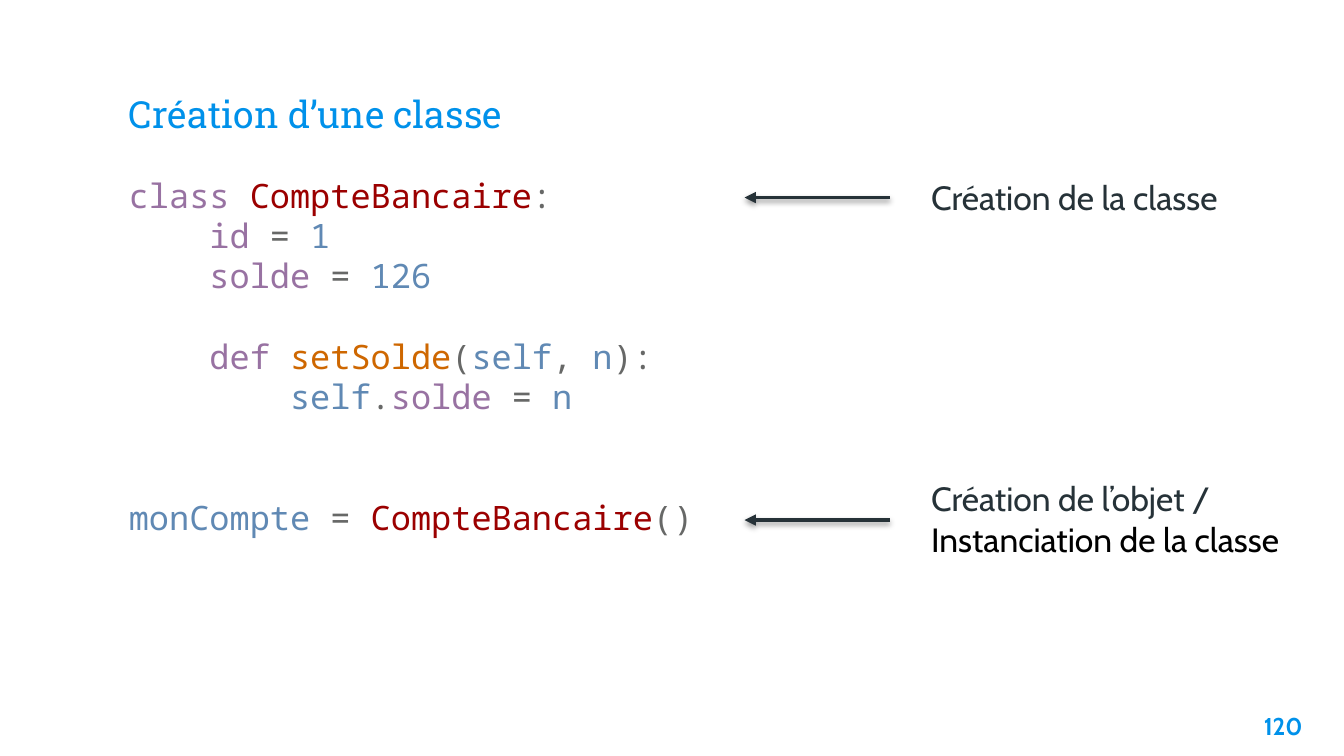
from lxml import etree
from pptx import Presentation
from pptx import util as u
from pptx.dml.color import RGBColor
from pptx.enum import shapes, text
from pptx.oxml import parse_xml
from pptx.oxml.ns import nsdecls, qn

BLUE = RGBColor(0x00, 0x91, 0xEA)
DARK = RGBColor(0x26, 0x32, 0x38)
BLACK = RGBColor(0x00, 0x00, 0x00)
KEYWORD = RGBColor(0x98, 0x72, 0xA2)
CLASS = RGBColor(0x9B, 0x00, 0x00)
FUNCTION = RGBColor(0xCE, 0x67, 0x00)
VALUE = RGBColor(0x60, 0x89, 0xB4)
SYMBOL = RGBColor(0x67, 0x68, 0x67)

CODE_PITCH = 21.6  # points from one code line to the next
CODE_INDENT = u.Inches(0.6)  # four characters

# Indent level, blank lines above, coloured pieces
CODE_LINES = [
    (0, 0, [("class ", KEYWORD), ("CompteBancaire", CLASS), (":", SYMBOL)]),
    (1, 0, [("id ", KEYWORD), ("= ", SYMBOL), ("1", VALUE)]),
    (1, 0, [("solde ", KEYWORD), ("= ", SYMBOL), ("126", VALUE)]),
    (1, 1, [("def ", KEYWORD), ("setSolde", FUNCTION), ("(", SYMBOL),
            ("self", VALUE), (", ", SYMBOL), ("n", VALUE), ("):", SYMBOL)]),
    (2, 0, [("self", VALUE), (".", SYMBOL), ("solde ", KEYWORD),
            ("= ", SYMBOL), ("n", VALUE)]),
    (0, 2, [("monCompte ", VALUE), ("= ", SYMBOL),
            ("CompteBancaire", CLASS), ("()", SYMBOL)]),
]


class SlideBuilder:
    heading_font = "Roboto Slab"
    body_font = "Cabin"
    code_font = "Noto Sans Mono"
    body_size = 18

    def __init__(self, slide):
        self.slide = slide

    def text_box(self, left, top, width, height, inset=0.05):
        shape = self.slide.shapes.add_textbox(
            u.Inches(left), u.Inches(top), u.Inches(width), u.Inches(height))
        frame = shape.text_frame
        frame.word_wrap = True
        frame.margin_top = frame.margin_bottom = u.Inches(inset)
        return frame

    def paragraph(self, frame, first):
        return frame.paragraphs[0] if first else frame.add_paragraph()

    def run(self, paragraph, words, color, font, size=body_size, bold=False):
        run = paragraph.add_run()
        run.text = words
        run.font.name = font
        run.font.size = u.Pt(size)
        run.font.bold = bold
        run.font.color.rgb = color

    def title(self, words):
        frame = self.text_box(0.86, 0.34, 8.28, 0.77, inset=0.1)
        frame.vertical_anchor = text.MSO_ANCHOR.BOTTOM
        self.run(frame.paragraphs[0], words, BLUE, self.heading_font, 20)

    def code(self, lines):
        frame = self.text_box(0.86, 1.25, 4.48, 3.13)
        for index, (level, blank_lines, pieces) in enumerate(lines):
            paragraph = self.paragraph(frame, index == 0)
            paragraph.line_spacing = u.Pt(CODE_PITCH)
            paragraph.space_before = u.Pt(blank_lines * CODE_PITCH)
            properties = paragraph._p.get_or_add_pPr()
            properties.set("marL", str(level * CODE_INDENT))
            properties.set("indent", "0")
            for words, color in pieces:
                self.run(paragraph, words, color, self.code_font)

    def label(self, top, width, height, lines):
        frame = self.text_box(6.83, top, width, height)
        for index, (words, color) in enumerate(lines):
            self.run(self.paragraph(frame, index == 0), words, color,
                     self.body_font)

    def arrow(self, y):
        """Draw a shadowed arrow pointing left at the code."""
        connector = self.slide.shapes.add_connector(
            shapes.MSO_CONNECTOR.STRAIGHT,
            u.Inches(6.62), u.Inches(y), u.Inches(5.54), u.Inches(y))
        connector.line.color.rgb = DARK
        connector.line.width = u.Pt(2)
        etree.SubElement(connector.line._get_or_add_ln(), qn("a:tailEnd"),
                         type="triangle")
        connector._element.spPr.append(parse_xml(
            f'<a:effectLst {nsdecls("a")}>'
            f'<a:outerShdw blurRad="{u.Pt(3.1)}" dist="{u.Pt(1.6)}" '
            'dir="5400000" rotWithShape="0">'
            '<a:srgbClr val="000000"><a:alpha val="38000"/></a:srgbClr>'
            '</a:outerShdw></a:effectLst>'))

    def page_number(self, number):
        frame = self.text_box(9.19, 5.19, 0.6, 0.43, inset=0.1)
        paragraph = frame.paragraphs[0]
        paragraph.alignment = text.PP_ALIGN.RIGHT
        self.run(paragraph, number, BLUE, self.body_font, 13, bold=True)


def main():
    presentation = Presentation()
    presentation.slide_width = u.Inches(10)
    presentation.slide_height = u.Inches(10 * 9 / 16)
    builder = SlideBuilder(
        presentation.slides.add_slide(presentation.slide_layouts[6]))
    builder.title("Création d’une classe")
    builder.code(CODE_LINES)
    builder.page_number("120")
    for y in (3.87, 1.47):
        builder.arrow(y)
    builder.label(3.51, 2.85, 0.71, [("Création de l’objet /", DARK),
                                     ("Instanciation de la classe", BLACK)])
    builder.label(1.27, 2.36, 0.4, [("Création de la classe", DARK)])
    presentation.save("out.pptx")


if __name__ == "__main__":
    main()
